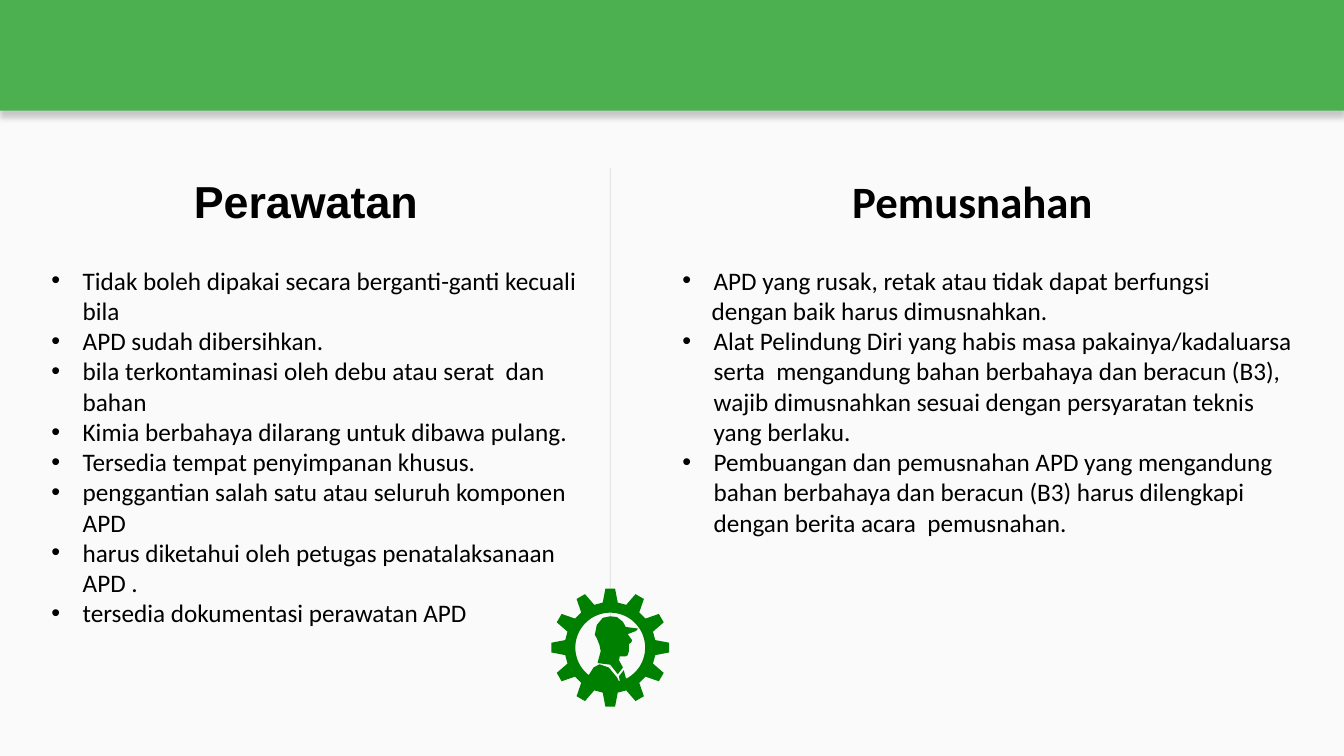
"""Build the slide on care and disposal of protective equipment."""
from math import cos, radians, sin

from lxml import etree
from pptx import Presentation
from pptx.dml.color import RGBColor
from pptx.enum.shapes import MSO_CONNECTOR, MSO_SHAPE
from pptx.enum.text import MSO_ANCHOR, MSO_AUTO_SIZE, PP_ALIGN
from pptx.oxml.ns import qn
from pptx.util import Cm, Pt

RECTANGLE = MSO_SHAPE.RECTANGLE
STRAIGHT = MSO_CONNECTOR.STRAIGHT
MIDDLE = MSO_ANCHOR.MIDDLE
GROW = MSO_AUTO_SIZE.SHAPE_TO_FIT_TEXT
CENTER, LEFT = PP_ALIGN.CENTER, PP_ALIGN.LEFT

COLORS = {"page": "FAFAFA", "banner": "4CAF50", "text": "000000", "icon": "008000"}
PAGE_WIDTH, PAGE_HEIGHT = 33.87, 19.05
HEADING_TOP, HEADING_HEIGHT, LIST_TOP = 4.24, 1.63, 6.55
DIVIDER_X, DIVIDER_BOTTOM = 15.38, 17.32
BULLET_INDENT, PLAIN_INDENT = 0.79, 0.74

COLUMNS = [
    {
        "heading": "Perawatan", "font": "Arial", "heading_span": (1.04, 13.34),
        "list_box": (1.04, 14.2, 9.5),
        "items": [
            ("•", "Tidak boleh dipakai secara berganti-ganti kecuali bila"),
            ("•", "APD sudah dibersihkan."),
            ("•", "bila terkontaminasi oleh debu atau serat  dan  bahan"),
            ("•", "Kimia berbahaya dilarang untuk dibawa pulang."),
            ("•", "Tersedia tempat penyimpanan khusus."),
            ("•", "penggantian salah satu atau seluruh komponen APD"),
            ("•", "harus diketahui oleh petugas penatalaksanaan APD ."),
            ("•", "tersedia dokumentasi perawatan APD"),
        ],
    },
    {
        "heading": "Pemusnahan", "font": "Calibri", "heading_span": (16.38, 16.26),
        "list_box": (16.94, 15.9, 7.19),
        "items": [
            ("•", "APD yang rusak, retak atau tidak dapat berfungsi"),
            ("", "dengan baik harus dimusnahkan."),
            ("•", "Alat Pelindung Diri yang habis masa pakainya/kadaluarsa serta  "
                  "mengandung bahan berbahaya dan beracun (B3), wajib dimusnahkan "
                  "sesuai dengan persyaratan teknis yang berlaku."),
            ("•", "Pembuangan dan pemusnahan APD yang mengandung bahan berbahaya dan "
                  "beracun (B3) harus dilengkapi dengan berita acara  pemusnahan."),
        ],
    },
]

ICON_CENTER = (DIVIDER_X, 16.32)
TEETH, TIP_RADIUS, ROOT_RADIUS, HOLE_RADIUS = 12, 1.49, 1.15, 0.88
TIP_ANGLE, ROOT_ANGLE = 4.7, 9.5
SHOULDERS = [(-0.42, 0.5), (-0.27, 0.42), (-0.04, 0.5), (0.17, 0.75), (0.22, 0.85),
             (0.24, 0.84), (0.22, 0.72), (0.34, 0.57)]
HEAD = [(0.19, 0.67), (0, 0.43), (-0.32, 0.39), (-0.29, 0.27), (-0.24, 0.09),
        (-0.27, -0.06), (-0.34, -0.24), (-0.39, -0.32), (-0.34, -0.57), (-0.19, -0.75),
        (0, -0.79), (0.17, -0.77), (0.32, -0.65), (0.39, -0.52), (0.7, -0.48),
        (0.65, -0.42), (0.44, -0.34), (0.55, -0.19), (0.53, -0.13), (0.47, -0.09),
        (0.47, 0.09), (0.44, 0.19), (0.39, 0.22), (0.24, 0.22), (0.22, 0.32), (0.32, 0.5)]


def color(name):
    return RGBColor.from_string(COLORS[name])


def place(box, left, top, width, height):
    box.left, box.top, box.width, box.height = Cm(left), Cm(top), Cm(width), Cm(height)
    frame = box.text_frame
    frame.word_wrap = True
    frame.auto_size = GROW
    return frame


def write(para, text, font, size, bold, align):
    para.alignment = align
    para.space_before = Pt(0)
    span = para.add_run()
    span.text = text
    span.font.name, span.font.size, span.font.bold = font, Pt(size), bold
    span.font.color.rgb = color("text")


def set_bullet(para, mark):
    properties = para._p.get_or_add_pPr()
    indent = Cm(BULLET_INDENT if mark else PLAIN_INDENT)
    properties.set("marL", str(indent))
    properties.set("indent", str(-indent if mark else 0))
    if mark:
        etree.SubElement(properties, qn("a:buFont"), typeface="Arial")
        etree.SubElement(properties, qn("a:buChar"), char=mark)
    else:
        etree.SubElement(properties, qn("a:buNone"))


def add_column(page, column, heading_index):
    left, width = column["heading_span"]
    heading = page.placeholders[heading_index]
    frame = place(heading, left, HEADING_TOP, width, HEADING_HEIGHT)
    frame.vertical_anchor = MIDDLE
    write(frame.paragraphs[0], column["heading"], column["font"], 32, True, CENTER)

    left, width, height = column["list_box"]
    frame = place(page.placeholders[heading_index + 1], left, LIST_TOP, width, height)
    for number, (mark, text) in enumerate(column["items"]):
        para = frame.add_paragraph() if number else frame.paragraphs[0]
        set_bullet(para, mark)
        write(para, text, "Calibri", 18, False, LEFT)


def add_banner(page):
    banner = page.shapes.add_shape(RECTANGLE, 0, 0, Cm(PAGE_WIDTH), Cm(2.79))
    banner.fill.solid()
    banner.fill.fore_color.rgb = color("banner")
    banner.line.fill.background()
    effects = etree.SubElement(banner._element.spPr, qn("a:effectLst"))
    shadow = etree.SubElement(effects, qn("a:outerShdw"), blurRad=str(Pt(4.5)),
                              dist=str(Pt(4.5)), dir="5400000", rotWithShape="0")
    tint = etree.SubElement(shadow, qn("a:srgbClr"), val=COLORS["text"])
    etree.SubElement(tint, qn("a:alpha"), val="20000")


def add_divider(page):
    divider = page.shapes.add_connector(STRAIGHT, Cm(DIVIDER_X), Cm(HEADING_TOP),
                                        Cm(DIVIDER_X), Cm(DIVIDER_BOTTOM))
    divider.line.width = Pt(0.48)
    divider.line.color.rgb = color("text")
    tint = divider._element.spPr.find(".//" + qn("a:srgbClr"))
    etree.SubElement(tint, qn("a:alpha"), val="12000")
    etree.SubElement(divider._element.spPr, qn("a:effectLst"))


def polar(radius, angle):
    return radius * cos(radians(angle)), radius * sin(radians(angle))


def add_outline(icon, *contours):
    center_x, center_y = ICON_CENTER
    paths = [[(Cm(center_x + x), Cm(center_y + y)) for x, y in contour]
             for contour in contours]
    builder = icon.shapes.build_freeform(*paths[0][0])
    builder.add_line_segments(paths[0][1:], close=True)
    for points in paths[1:]:
        builder.move_to(*points[0])
        builder.add_line_segments(points[1:], close=True)
    outline = builder.convert_to_shape()
    outline.shadow.inherit = False
    outline.fill.solid()
    outline.fill.fore_color.rgb = color("icon")
    outline.line.fill.background()


def add_worker_icon(page):
    corners = [(ROOT_RADIUS, -ROOT_ANGLE), (TIP_RADIUS, -TIP_ANGLE),
               (TIP_RADIUS, TIP_ANGLE), (ROOT_RADIUS, ROOT_ANGLE)]
    gear = [polar(radius, tooth * 360 / TEETH + offset)
            for tooth in range(TEETH) for radius, offset in corners]
    hole = [polar(HOLE_RADIUS, angle) for angle in range(63, -233, -5)] + SHOULDERS
    icon = page.shapes.add_group_shape()
    add_outline(icon, gear, hole)
    add_outline(icon, HEAD)


def main():
    deck = Presentation()
    deck.slide_width, deck.slide_height = Cm(PAGE_WIDTH), Cm(PAGE_HEIGHT)
    page = deck.slides.add_slide(deck.slide_layouts.get_by_name("Comparison"))
    page.background.fill.solid()
    page.background.fill.fore_color.rgb = color("page")
    title = page.shapes.title._element
    title.getparent().remove(title)
    add_banner(page)
    add_divider(page)
    for heading_index, column in zip((1, 3), COLUMNS):
        add_column(page, column, heading_index)
    add_worker_icon(page)
    deck.save("out.pptx")


if __name__ == "__main__":
    main()
